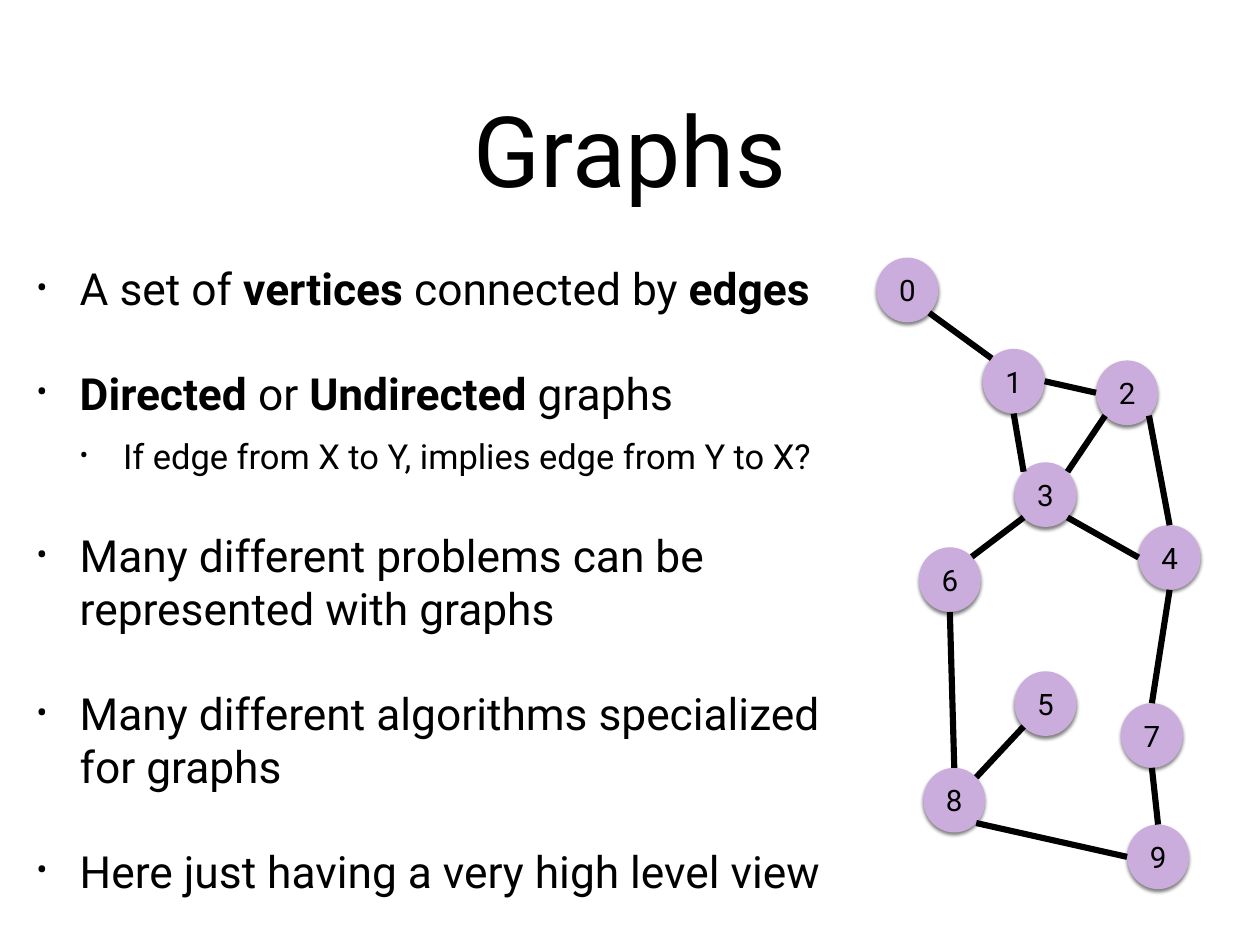
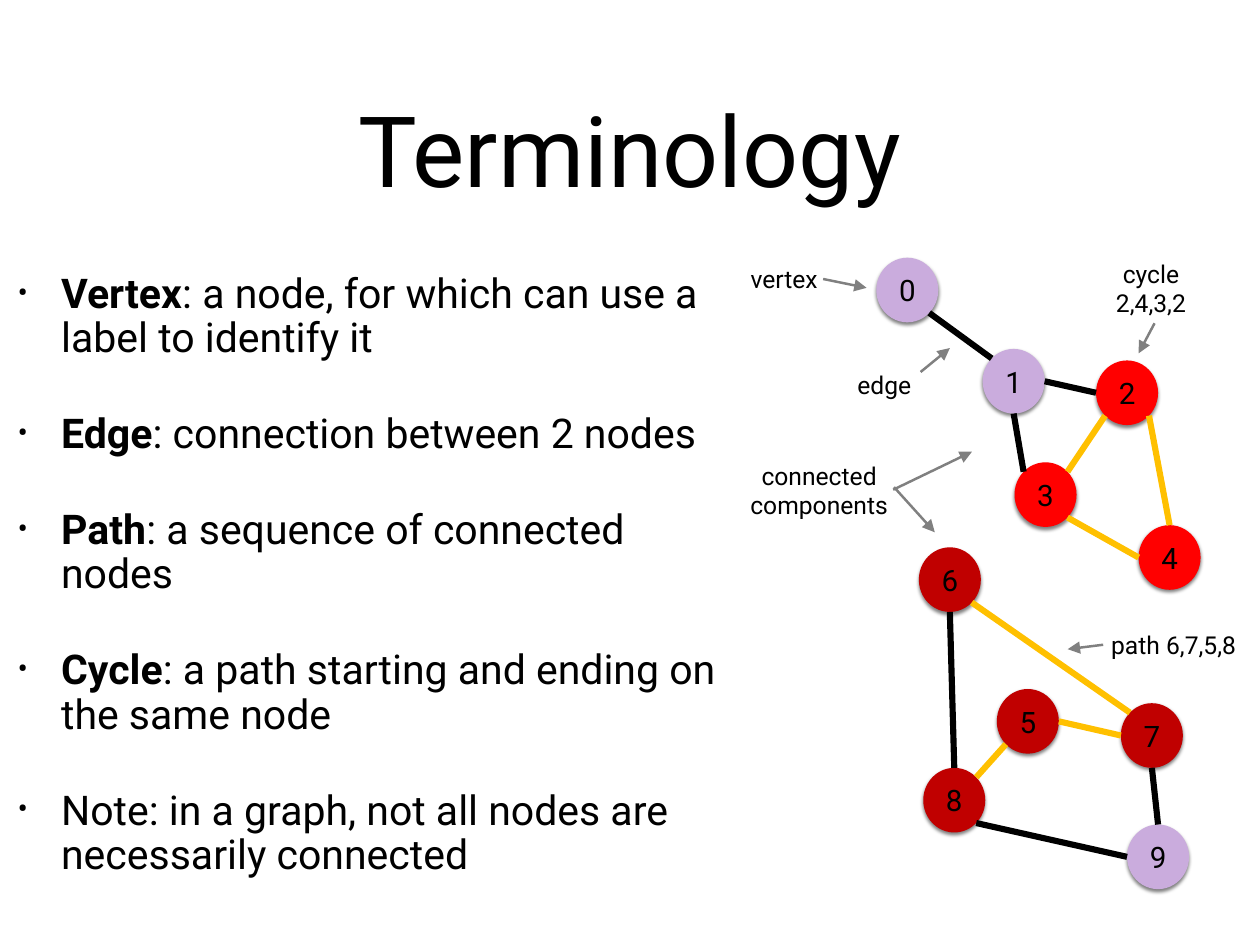
from dataclasses import dataclass, field
from typing import NamedTuple

from lxml.etree import SubElement
from pptx import Presentation
from pptx.dml.color import RGBColor
from pptx.enum.shapes import MSO_CONNECTOR as Connector, MSO_SHAPE as Preset
from pptx.enum.text import MSO_ANCHOR as Anchor, PP_ALIGN as Align
from pptx.oxml.ns import qn
from pptx.util import Inches, Pt

COLORS = {
    "text": "000000",
    "edge": "000000",
    "node": "CAACDD",
    "cycle": "FF0000",
    "path": "C00000",
    "highlight": "FFC000",
    "pointer": "808080",
}
FONT = "Roboto"
INSET = 0.06
BULLET_INDENT = 0.49
NODE_WIDTH, NODE_HEIGHT = 0.7, 0.73
DIAGONAL = 0.5 ** 0.5
PORTS = {
    "n": (0, -1), "s": (0, 1), "w": (-1, 0), "e": (1, 0),
    "nw": (-DIAGONAL, -DIAGONAL), "ne": (DIAGONAL, -DIAGONAL),
    "sw": (-DIAGONAL, DIAGONAL), "se": (DIAGONAL, DIAGONAL),
}


class Point(NamedTuple):
    x: float
    y: float


class Box(NamedTuple):
    left: float
    top: float
    width: float
    height: float


class Bullet(NamedTuple):
    text: str
    level: int = 0


class Edge(NamedTuple):
    start: int
    start_port: str
    end: int
    end_port: str
    color: str = "edge"


class Label(NamedTuple):
    text: str
    box: Box
    wrap: bool = False


class Pointer(NamedTuple):
    start: Point
    end: Point


@dataclass
class GraphSlide:
    title: str
    body_box: Box
    body_size: float
    line_spacing: float
    bullets: list[Bullet]
    nodes: dict[int, Point]
    edges: list[Edge]
    node_colors: dict[int, str] = field(default_factory=dict)
    labels: list[Label] = field(default_factory=list)
    pointers: list[Pointer] = field(default_factory=list)


TITLE_BOX = Box(1.04, 0.49, 12.14, 2.36)
NODES = {
    0: Point(9.89, 2.91), 1: Point(11.09, 3.94), 2: Point(12.37, 4.07),
    3: Point(11.45, 5.22), 4: Point(12.85, 5.93), 5: Point(11.45, 7.58),
    6: Point(10.37, 6.18), 7: Point(12.65, 7.94), 8: Point(10.42, 8.67),
    9: Point(12.72, 9.31),
}
SHARED_EDGES = [
    Edge(7, "s", 9, "n"),
    Edge(1, "s", 3, "nw"),
    Edge(1, "e", 2, "w"),
    Edge(0, "se", 1, "nw"),
    Edge(6, "s", 8, "n"),
    Edge(8, "se", 9, "w"),
]
CYCLE_EDGES = [
    Edge(3, "se", 4, "w"),
    Edge(3, "ne", 2, "sw"),
    Edge(2, "se", 4, "n"),
]
BRANCH = Edge(5, "sw", 8, "ne")

SLIDES = [
    GraphSlide(
        title="Graphs",
        body_box=Box(0.35, 2.85, 9.38, 7.38),
        body_size=36,
        line_spacing=1.0,
        bullets=[
            Bullet("A set of **vertices** connected by **edges**"),
            Bullet("**Directed** or **Undirected** graphs"),
            Bullet("If edge from X to Y, implies edge from Y to X?", 1),
            Bullet("Many different problems can be represented with graphs"),
            Bullet("Many different algorithms specialized for graphs"),
            Bullet("Here just having a very high level view"),
        ],
        nodes=NODES,
        edges=SHARED_EDGES + CYCLE_EDGES + [
            BRANCH,
            Edge(4, "s", 7, "n"),
            Edge(3, "sw", 6, "ne"),
        ],
    ),
    GraphSlide(
        title="Terminology",
        body_box=Box(0.14, 2.85, 8.33, 7.3),
        body_size=33.3,
        line_spacing=0.9,
        bullets=[
            Bullet("**Vertex**: a node, for which can use a label to identify it"),
            Bullet("**Edge**: connection between 2 nodes"),
            Bullet("**Path**: a sequence of connected nodes"),
            Bullet("**Cycle**: a path starting and ending on the same node"),
            Bullet("Note: in a graph, not all nodes are necessarily connected"),
        ],
        nodes={**NODES, 5: Point(11.25, 7.78)},
        edges=SHARED_EDGES + [
            edge._replace(color="highlight")
            for edge in CYCLE_EDGES + [
                BRANCH, Edge(6, "se", 7, "nw"), Edge(7, "w", 5, "e"),
            ]
        ],
        node_colors={
            **dict.fromkeys((2, 3, 4), "cycle"),
            **dict.fromkeys((5, 6, 7, 8), "path"),
        },
        labels=[
            Label("vertex", Box(8.35, 2.92, 1.0, 0.45)),
            Label("edge", Box(9.55, 4.12, 0.86, 0.45)),
            Label("connected components", Box(8.31, 5.14, 1.87, 0.79), True),
            Label("path 6,7,5,8", Box(12.4, 7.05, 1.69, 0.45)),
            Label("cycle 2,4,3,2", Box(12.47, 2.86, 1.04, 0.79), True),
        ],
        pointers=[
            Pointer(Point(10.39, 4.2), Point(10.72, 3.93)),
            Pointer(Point(10.09, 5.5), Point(10.55, 6.01)),
            Pointer(Point(13.03, 3.65), Point(12.85, 3.99)),
            Pointer(Point(10.08, 5.53), Point(10.97, 5.1)),
            Pointer(Point(9.29, 3.15), Point(9.78, 3.25)),
            Pointer(Point(12.45, 7.28), Point(12.05, 7.33)),
        ],
    ),
]


def color_of(name: str) -> RGBColor:
    return RGBColor.from_string(COLORS[name])


def prepare_frame(shape, *, wrap: bool = True):
    frame = shape.text_frame
    frame.word_wrap = wrap
    frame.vertical_anchor = Anchor.MIDDLE
    frame.margin_left = frame.margin_right = Inches(INSET)
    frame.margin_top = frame.margin_bottom = Inches(INSET)
    return frame


def write_text(paragraph, text: str, *, size: float, align=Align.CENTER,
               space_before: float = 0, line_spacing: float = 1.0) -> None:
    paragraph.alignment = align
    paragraph.space_before = Pt(space_before)
    paragraph.line_spacing = line_spacing
    for index, part in enumerate(text.split("**")):
        if part:
            run = paragraph.add_run()
            run.text = part
            run.font.name = FONT
            run.font.size = Pt(size)
            run.font.bold = index % 2 == 1
            run.font.color.rgb = color_of("text")


def add_text(slide, text: str, box: Box, *, size: float, wrap: bool = True) -> None:
    shape = slide.shapes.add_textbox(*map(Inches, box))
    write_text(prepare_frame(shape, wrap=wrap).paragraphs[0], text, size=size)


def add_bullet(paragraph, level: int) -> None:
    paragraph.level = level
    properties = paragraph._p.get_or_add_pPr()
    properties.set("marL", str(Inches(BULLET_INDENT * (level + 1))))
    properties.set("indent", str(-Inches(BULLET_INDENT)))
    SubElement(properties, qn("a:buSzPct"), val="75000")
    SubElement(properties, qn("a:buFont"), typeface=FONT)
    SubElement(properties, qn("a:buChar"), char="•")


def add_body(slide, content: GraphSlide) -> None:
    shape = slide.shapes.add_textbox(*map(Inches, content.body_box))
    frame = prepare_frame(shape)
    for index, bullet in enumerate(content.bullets):
        paragraph = frame.add_paragraph() if index else frame.paragraphs[0]
        add_bullet(paragraph, bullet.level)
        space = 13 if bullet.level else 42
        write_text(paragraph, bullet.text, align=Align.LEFT,
                   size=28 if bullet.level else content.body_size,
                   space_before=space if index else 0,
                   line_spacing=content.line_spacing)


def add_node(slide, number: int, corner: Point, color: str) -> None:
    box = Box(*corner, NODE_WIDTH, NODE_HEIGHT)
    shape = slide.shapes.add_shape(Preset.OVAL, *map(Inches, box))
    shape.fill.solid()
    shape.fill.fore_color.rgb = color_of(color)
    shape.line.fill.background()
    shape.shadow.inherit = False
    effects = shape.element.spPr.find(qn("a:effectLst"))
    shadow = SubElement(effects, qn("a:outerShdw"), blurRad=str(Pt(3)),
                        dist=str(Pt(2)), dir="5400000", rotWithShape="0")
    shade = SubElement(shadow, qn("a:srgbClr"), val=COLORS["text"])
    SubElement(shade, qn("a:alpha"), val="50000")
    write_text(prepare_frame(shape).paragraphs[0], str(number), size=24)


def add_line(slide, start: Point, end: Point, *, color: str, width: float,
             arrow: bool = False) -> None:
    connector = slide.shapes.add_connector(
        Connector.STRAIGHT, *map(Inches, (*start, *end)))
    connector.line.color.rgb = color_of(color)
    connector.line.width = Pt(width)
    properties = connector.element.spPr
    if arrow:
        SubElement(properties.find(qn("a:ln")), qn("a:tailEnd"),
                   type="triangle", w="lg", len="lg")
    SubElement(properties, qn("a:effectLst"))


def port_point(corner: Point, port: str) -> Point:
    across, down = PORTS[port]
    return Point(corner.x + NODE_WIDTH / 2 * (1 + across),
                 corner.y + NODE_HEIGHT / 2 * (1 + down))


def draw_slide(presentation, content: GraphSlide) -> None:
    slide = presentation.slides.add_slide(presentation.slide_layouts[6])
    add_text(slide, content.title, TITLE_BOX, size=80)
    add_body(slide, content)
    for number, corner in content.nodes.items():
        add_node(slide, number, corner, content.node_colors.get(number, "node"))
    for edge in content.edges:
        add_line(slide, port_point(content.nodes[edge.start], edge.start_port),
                 port_point(content.nodes[edge.end], edge.end_port),
                 color=edge.color, width=5)
    for label in content.labels:
        add_text(slide, label.text, label.box, size=20, wrap=label.wrap)
    for pointer in content.pointers:
        add_line(slide, *pointer, color="pointer", width=2, arrow=True)


def main() -> None:
    presentation = Presentation()
    presentation.slide_width = Inches(14.22)
    presentation.slide_height = Inches(10.67)
    for content in SLIDES:
        draw_slide(presentation, content)
    presentation.save("out.pptx")


if __name__ == "__main__":
    main()
